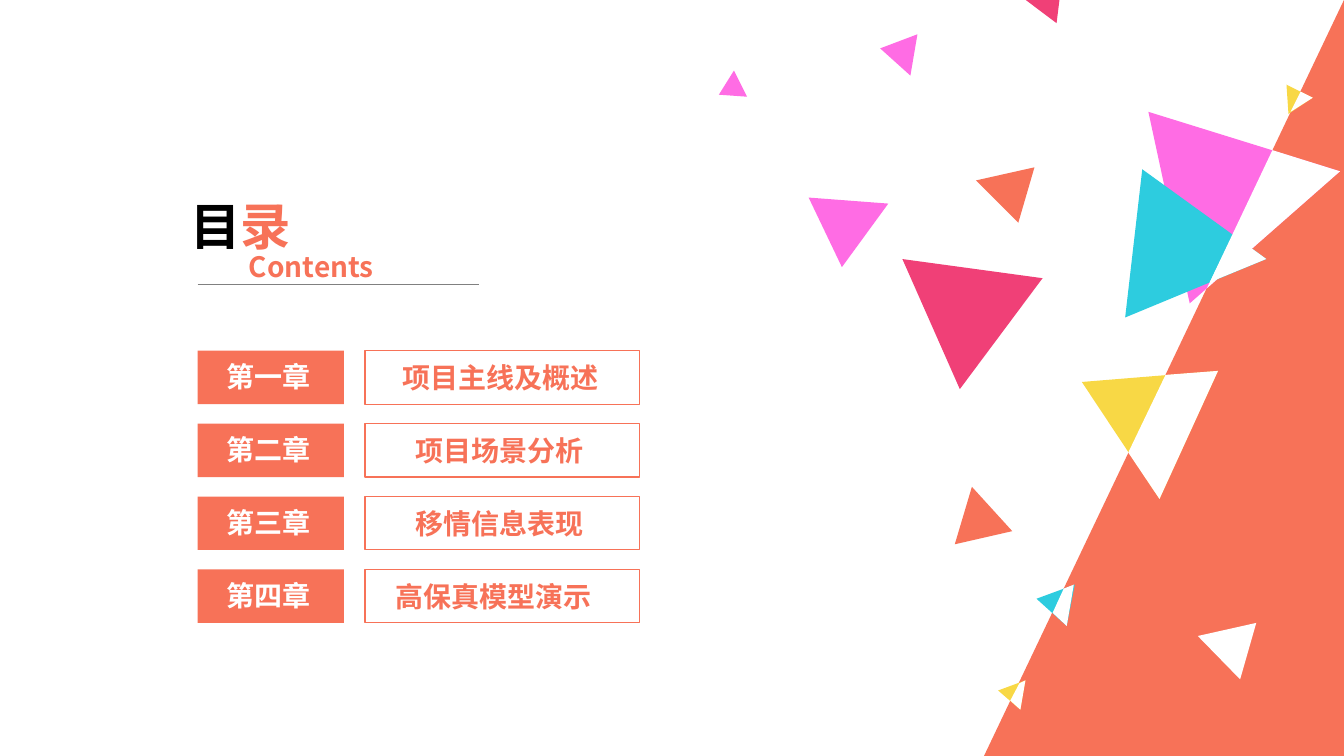
from lxml import etree
from pptx import Presentation
from pptx.dml.color import RGBColor
from pptx.enum.shapes import MSO_CONNECTOR, MSO_SHAPE
from pptx.enum.text import MSO_AUTO_SIZE
from pptx.oxml.ns import qn
from pptx.util import Inches, Pt

RECT = MSO_SHAPE.RECTANGLE
TRIANGLE = MSO_SHAPE.ISOSCELES_TRIANGLE
STRAIGHT = MSO_CONNECTOR.STRAIGHT
GROW = MSO_AUTO_SIZE.SHAPE_TO_FIT_TEXT

CORAL = RGBColor(0xF7, 0x72, 0x58)
PINK = RGBColor(0xFF, 0x6C, 0xE4)
CYAN = RGBColor(0x2D, 0xCC, 0xDF)
YELLOW = RGBColor(0xF8, 0xD8, 0x45)
ROSE = RGBColor(0xF0, 0x40, 0x77)
WHITE = RGBColor(0xFF, 0xFF, 0xFF)
BLACK = RGBColor(0x00, 0x00, 0x00)
GRAY = RGBColor(0x80, 0x80, 0x80)

# Chapter label, topic, left and width of the topic text
CHAPTERS = [
    ("第一章", "项目主线及概述", 3.89, 2.18),
    ("第二章", "项目场景分析", 4.02, 2.04),
    ("第三章", "移情信息表现", 4.02, 2.04),
    ("第四章", "高保真模型演示", 3.82, 2.32),
]
FIRST, LAST = 3.48, 5.65
PITCH = (LAST - FIRST) / (len(CHAPTERS) - 1)

# Confetti from back to front; white pieces lie over the coral slope
CONFETTI = [
    (CORAL, [(10.26, 1.66), (10.1, 2.21), (9.68, 1.79)]),
    (PINK, [(11.8, 3.01), (11.39, 1.11), (13.29, 1.7)]),
    (CYAN, [(11.16, 3.15), (11.33, 1.68), (12.56, 2.57)]),
    (CYAN, [(10.28, 5.94), (10.66, 5.8), (10.58, 6.21)]),
    (YELLOW, [(9.9, 6.85), (10.17, 6.75), (10.12, 7.04)]),
    (YELLOW, [(10.73, 3.79), (12.08, 3.68), (11.5, 4.95)]),
    (ROSE, [(10.34, 2.76), (9.52, 3.86), (8.95, 2.57)]),
    (YELLOW, [(12.78, 1.13), (12.76, 0.84), (13.02, 0.97)]),
    (PINK, [(8.73, 0.48), (9.1, 0.34), (9.03, 0.75)]),
    (ROSE, [(10.48, 0.23), (10.16, -0.01), (10.53, -0.17)]),
    (PINK, [(8.35, 2.65), (8.02, 1.96), (8.81, 2.02)]),
    (CORAL, [(10.04, 5.27), (9.47, 5.4), (9.64, 4.83)]),
    (WHITE, [(12.46, 6.18), (12.3, 6.74), (11.88, 6.31)]),
    (WHITE, [(12.62, 1.49), (13.29, 1.7), (11.97, 2.86)]),
    (WHITE, [(12.23, 2.33), (12.56, 2.57), (12, 2.8)]),
    (WHITE, [(10.65, 5.8), (10.58, 6.21), (10.44, 6.08), (10.55, 5.84)]),
    (WHITE, [(10.17, 6.75), (10.12, 7.04), (10.02, 6.95), (10.11, 6.78)]),
    (WHITE, [(12.08, 3.68), (11.5, 4.95), (11.19, 4.49), (11.56, 3.72)]),
    (WHITE, [(12.9, 0.91), (13.02, 0.97), (12.8, 1.11)]),
    (PINK, [(7.13, 0.94), (7.28, 0.7), (7.41, 0.96)]),
]


class Canvas:
    """Draws styled elements on one slide, with lengths in inches."""

    font = "Noto Sans CJK SC"

    def __init__(self, slide):
        self.shapes = slide.shapes

    def paint(self, shape, fill=None, line=None):
        shape.shadow.inherit = False
        if fill is None:
            shape.fill.background()
        else:
            shape.fill.solid()
            shape.fill.fore_color.rgb = fill
        if line is None:
            shape.line.fill.background()
        else:
            shape.line.color.rgb = line
            shape.line.width = Pt(0.75)

    def shape(self, kind, box, fill=None, line=None):
        shape = self.shapes.add_shape(kind, *map(Inches, box))
        self.paint(shape, fill, line)
        return shape

    def piece(self, fill, points):
        """Add a closed polygon."""
        start, *rest = [(Inches(x), Inches(y)) for x, y in points]
        form = self.shapes.build_freeform(*start)
        form.add_line_segments(rest, close=True)
        self.paint(form.convert_to_shape(), fill)

    def rule(self, left, right, top):
        """Add a thin horizontal line."""
        line = self.shapes.add_connector(
            STRAIGHT, Inches(left), Inches(top), Inches(right), Inches(top))
        line.line.color.rgb = GRAY
        line.line.width = Pt(0.5)
        etree.SubElement(line._element.spPr, qn("a:effectLst"))

    def text(self, box, runs, size=20):
        """Add one paragraph of bold (words, colour) runs."""
        frame = self.shapes.add_textbox(*map(Inches, box)).text_frame
        frame.word_wrap = True
        frame.auto_size = GROW
        for words, color in runs:
            run = frame.paragraphs[0].add_run()
            run.text = words
            font = run.font
            font.size = Pt(size)
            font.bold = True
            font.color.rgb = color
            font.name = self.font
            props = run._r.get_or_add_rPr()
            etree.SubElement(props, qn("a:ea"), typeface=self.font)


def main():
    deck = Presentation()
    deck.slide_width, deck.slide_height = Inches(13.33), Inches(7.5)
    canvas = Canvas(deck.slides.add_slide(deck.slide_layouts[6]))

    slope = canvas.shape(TRIANGLE, (9.76, 0, 3.57, 7.5), CORAL)
    slope.adjustments[0] = 1

    for row, (label, topic, left, width) in enumerate(CHAPTERS):
        top = FIRST + row * PITCH
        canvas.shape(RECT, (3.62, top, 2.72, 0.53), line=CORAL)
        canvas.text((left, top + 0.05, width, 0.44), [(topic, CORAL)])
        canvas.shape(RECT, (1.96, top, 1.45, 0.53), CORAL)
        canvas.text((2.15, top + 0.04, 1.05, 0.44), [(label, WHITE)])

    canvas.text((1.79, 1.89, 1.57, 0.71), [("目", BLACK), ("录", CORAL)], 36)
    canvas.rule(1.96, 4.75, 2.82)
    canvas.text((2.37, 2.43, 1.57, 0.44), [("Contents", CORAL)])

    for fill, points in CONFETTI:
        canvas.piece(fill, points)

    deck.save("out.pptx")


if __name__ == "__main__":
    main()
